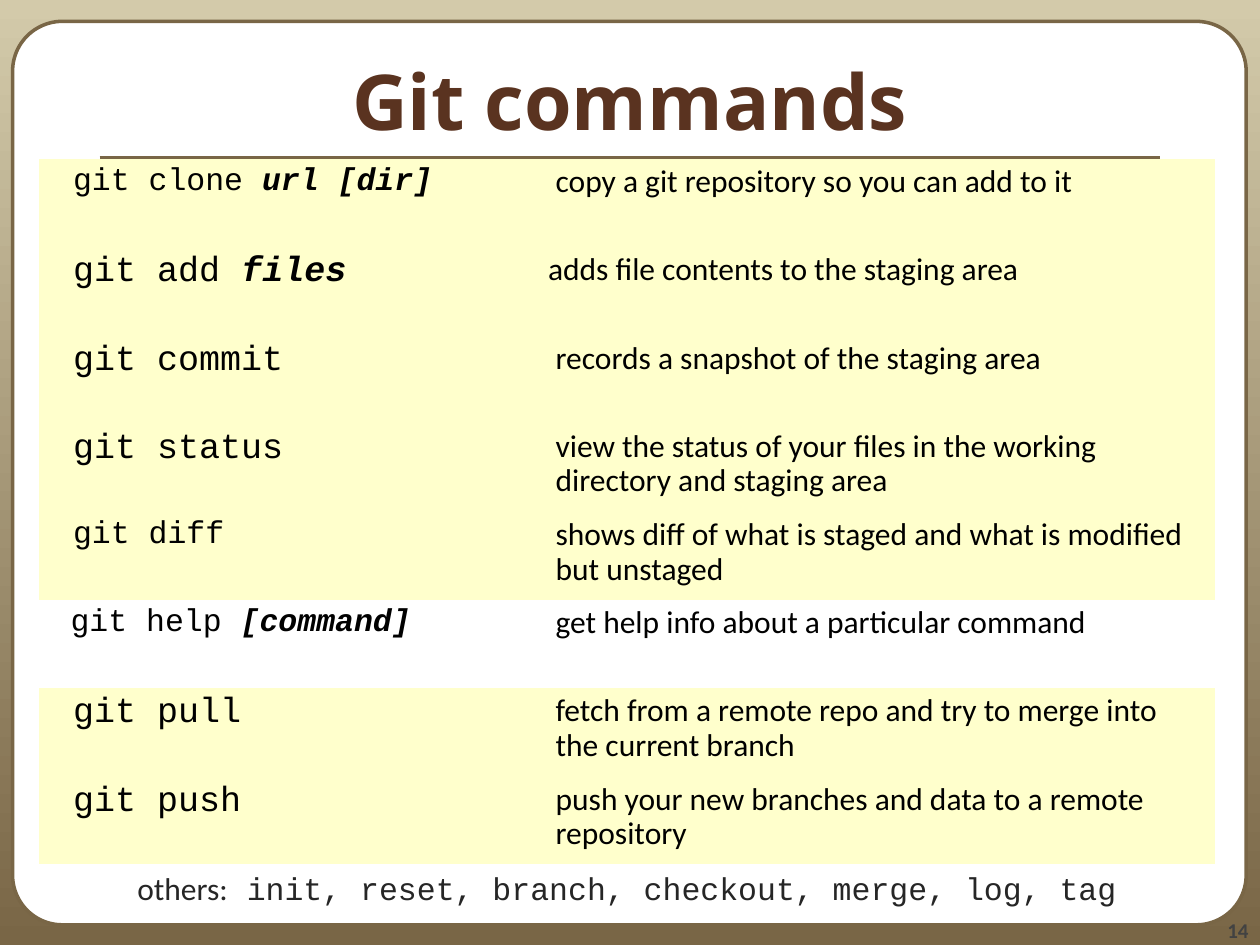
from lxml.etree import SubElement
from pptx import Presentation
from pptx.dml.color import RGBColor
from pptx.enum.shapes import MSO_CONNECTOR as Connector, MSO_SHAPE as Shape
from pptx.enum.text import MSO_ANCHOR as Anchor, PP_ALIGN as Align
from pptx.oxml.ns import qn
from pptx.util import Inches, Pt

SAND = RGBColor(0xD3, 0xCA, 0xAA)
BROWN = RGBColor(0x79, 0x66, 0x46)
TITLE_BROWN = RGBColor(0x5A, 0x33, 0x20)
WHITE = RGBColor(0xFF, 0xFF, 0xFF)
BLACK = RGBColor(0, 0, 0)
CREAM = RGBColor(0xFF, 0xFF, 0xCC)
DARK_GRAY = RGBColor(0x26, 0x26, 0x26)
GRAY = RGBColor(0x42, 0x42, 0x42)

SANS, MONO, HEADING = "Calibri", "Courier New", "Open Sans"
NO_STYLE = "{2D5ABB26-0587-4C30-8999-92F81FD0307C}"
COLUMNS = (4, 5.33)
ROW_HEIGHT, LAST_HEIGHT = 0.7, 0.4
COMMAND_INSET, TEXT_INSET = 0.27, 0.1

COMMANDS = [
    ("git clone ", "url [dir]", 18, "copy a git repository so you can add to it"),
    ("git add ", "files", 20, "adds file contents to the staging area"),
    ("git commit", "", 20, "records a snapshot of the staging area"),
    ("git status", "", 20,
     "view the status of your files in the working directory and staging area"),
    ("git diff", "", 18,
     "shows diff of what is staged and what is modified but unstaged"),
    ("git help ", "[command]", 18, "get help info about a particular command"),
    ("git pull", "", 20,
     "fetch from a remote repo and try to merge into the current branch"),
    ("git push", "", 20, "push your new branches and data to a remote repository"),
]
PLAIN_ROW = 5
INSET_OVERRIDES = {(1, 1): 0.04, (5, 0): 0.25}


def add_span(paragraph, text, font, size, color, bold=False, italic=False):
    """Append a formatted run to a paragraph."""
    span = paragraph.add_run()
    span.text = text
    span.font.name = font
    span.font.size = Pt(size)
    span.font.color.rgb = color
    span.font.bold = bold
    span.font.italic = italic


def paint_background(page):
    """Fill the page with a gradient running from top to bottom."""
    fill = page.background.fill
    fill.gradient()
    fill.gradient_angle = 270
    for stop, color in zip(fill.gradient_stops, (SAND, BROWN)):
        stop.color.rgb = color


def add_panel(page):
    """Add the white rounded panel."""
    panel = page.shapes.add_shape(
        Shape.ROUNDED_RECTANGLE, Inches(0.1), Inches(0.17), Inches(9.79), Inches(7.17))
    panel.adjustments[0] = 0.055
    panel.shadow.inherit = False
    panel.fill.solid()
    panel.fill.fore_color.rgb = WHITE
    panel.line.color.rgb = BROWN
    panel.line.width = Pt(2)


def add_rule(page):
    """Add the line under the title."""
    rule = page.shapes.add_connector(
        Connector.STRAIGHT, Inches(0.79), Inches(1.25), Inches(9.21), Inches(1.25))
    rule.line.color.rgb = BROWN
    rule.line.width = Pt(2.25)
    SubElement(rule._element.spPr, qn("a:effectLst"))


def add_page_number(page, number):
    """Add the page number at the lower right."""
    box = page.shapes.add_textbox(Inches(9.08), Inches(7.08), Inches(0.83), Inches(0.4))
    frame = box.text_frame
    frame.word_wrap = True
    frame.vertical_anchor = Anchor.BOTTOM
    frame.margin_left = frame.margin_right = frame.margin_top = frame.margin_bottom = 0
    paragraph = frame.paragraphs[0]
    paragraph.alignment = Align.RIGHT
    add_span(paragraph, number, SANS, 12, GRAY, bold=True)


def format_title(page, text):
    """Place and format the title in front of the panel."""
    title = page.shapes.title
    title.left, title.top = Inches(0), Inches(0.17)
    title.width, title.height = Inches(10), Inches(1.25)
    title.text_frame.vertical_anchor = Anchor.MIDDLE
    paragraph = title.text_frame.paragraphs[0]
    paragraph.alignment = Align.CENTER
    add_span(paragraph, text, HEADING, 44, TITLE_BROWN, bold=True)
    page.shapes._spTree.append(title._element)


def prepare_cell(cell, inset, filled, spacing=5):
    """Set the fill and margins of a cell and return its paragraph."""
    if filled:
        cell.fill.solid()
        cell.fill.fore_color.rgb = CREAM
    else:
        cell.fill.background()
    cell.margin_left = Inches(inset)
    cell.margin_right = Inches(min(inset, TEXT_INSET))
    paragraph = cell.text_frame.paragraphs[0]
    paragraph.space_before = Pt(spacing)
    return paragraph


def add_command_table(page):
    """Add the table of commands with a closing merged row."""
    last = len(COMMANDS)
    frame = page.shapes.add_table(
        last + 1, 2, Inches(0.31), Inches(1.26), Inches(sum(COLUMNS)),
        Inches(last * ROW_HEIGHT + LAST_HEIGHT))
    table = frame.table
    table.first_row = table.horz_banding = False
    table._tbl.tblPr.find(qn("a:tableStyleId")).text = NO_STYLE
    for column, width in zip(table.columns, COLUMNS):
        column.width = Inches(width)
    for index, (command, argument, size, meaning) in enumerate(COMMANDS):
        table.rows[index].height = Inches(ROW_HEIGHT)
        left, right = [
            prepare_cell(table.cell(index, side), INSET_OVERRIDES.get((index, side), inset),
                         index != PLAIN_ROW)
            for side, inset in enumerate((COMMAND_INSET, TEXT_INSET))]
        left.line_spacing = right.line_spacing = 0.9
        add_span(left, command, MONO, size, BLACK)
        if argument:
            add_span(left, argument, MONO, size, BLACK, bold=True, italic=True)
        add_span(right, meaning, SANS, 18, BLACK)
    table.rows[last].height = Inches(LAST_HEIGHT)
    table.cell(last, 0).merge(table.cell(last, 1))
    others = prepare_cell(table.cell(last, 0), TEXT_INSET, False, spacing=4.5)
    others.alignment = Align.CENTER
    add_span(others, "others:", SANS, 18, DARK_GRAY)
    add_span(others, " init, reset, branch, checkout, merge, log, tag", MONO, 18, DARK_GRAY)


def main():
    """Build and save the deck."""
    deck = Presentation()
    deck.slide_width, deck.slide_height = Inches(10), Inches(7.5)
    page = deck.slides.add_slide(deck.slide_layouts[5])
    paint_background(page)
    add_panel(page)
    add_page_number(page, "14")
    add_rule(page)
    add_command_table(page)
    format_title(page, "Git commands")
    deck.save("out.pptx")


main()
